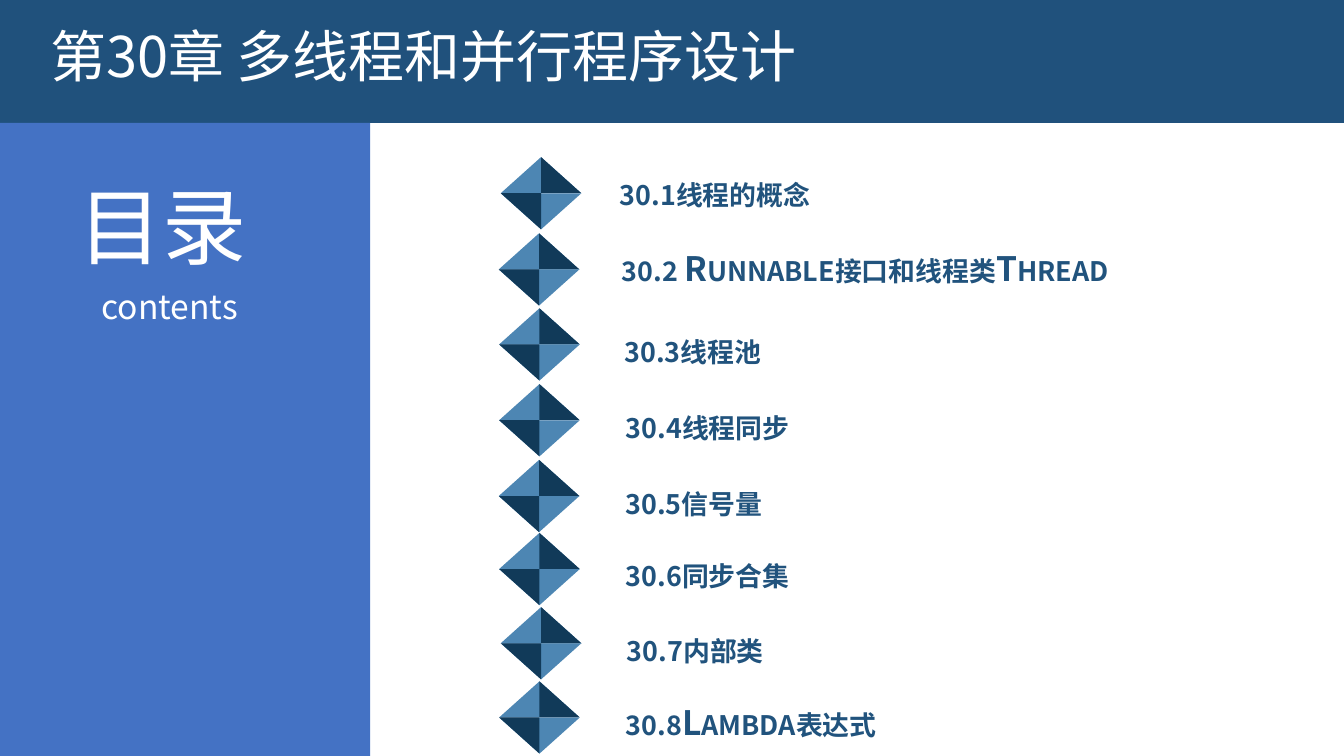
from dataclasses import dataclass

from lxml.etree import SubElement
from pptx import Presentation
from pptx.dml.color import RGBColor
from pptx.enum.shapes import MSO_SHAPE
from pptx.enum.text import MSO_AUTO_SIZE, PP_ALIGN
from pptx.oxml.ns import qn
from pptx.util import Cm, Pt


@dataclass(frozen=True)
class Theme:
    font: str = "Noto Sans CJK SC"
    banner: str = "20517C"
    sidebar: str = "4472C4"
    light_facet: str = "4D86B3"
    dark_facet: str = "113A59"
    entry: str = "21537D"
    white: str = "FFFFFF"
    contents_size: int = 60
    title_size: int = 40
    entry_size: int = 24


THEME = Theme()
FACET_WIDTH, FACET_HEIGHT = 2.03, 0.91
ENTRY_FRAME = {
    "margin_left": Cm(0.2), "margin_right": Cm(0.2),
    "margin_top": Cm(0.1), "margin_bottom": Cm(0.1),
}

# Entry, marker left and top, text left, top and width, wrapping
CHAPTER_ENTRIES = [
    ("30.1线程的概念", 12.62, 3.96, 15.42, 4.22, 14.96, True),
    ("30.2 Runnable接口和线程类Thread", 12.57, 5.88, 15.47, 6.15, 14.68, False),
    ("30.3线程池", 12.58, 7.77, 15.54, 8.18, 15.54, True),
    ("30.4线程同步", 12.58, 9.68, 15.57, 10.11, 15.54, True),
    ("30.5信号量", 12.57, 11.59, 15.56, 12.01, 15.54, True),
    ("30.6同步合集", 12.58, 13.43, 15.57, 13.84, 15.54, True),
    ("30.7内部类", 12.62, 15.3, 15.6, 15.72, 15.54, True),
    ("30.8Lambda表达式", 12.58, 17.17, 15.57, 17.6, 15.54, True),
]


def apply_format(target, values):
    for name, value in values.items():
        setattr(target, name, value)


def paint(shape, color):
    shape.fill.solid()
    shape.fill.fore_color.rgb = RGBColor.from_string(color)
    shape.line.fill.background()
    shape.shadow.inherit = False


def add_panel(slide, left, top, width, height, color):
    panel = slide.shapes.add_shape(
        MSO_SHAPE.RECTANGLE, Cm(left), Cm(top), Cm(width), Cm(height))
    paint(panel, color)


def add_label(slide, wording, left, top, width, height, size, color,
              align=None, bold=None, small_caps=False, frame_format=None):
    label = slide.shapes.add_textbox(Cm(left), Cm(top), Cm(width), Cm(height))
    frame = label.text_frame
    apply_format(frame, {"word_wrap": True,
                         "auto_size": MSO_AUTO_SIZE.SHAPE_TO_FIT_TEXT,
                         **(frame_format or {})})
    paragraph = frame.paragraphs[0]
    paragraph.alignment = align
    run = paragraph.add_run()
    run.text = wording
    apply_format(run.font, {"name": THEME.font, "size": Pt(size), "bold": bold})
    run.font.color.rgb = RGBColor.from_string(color)
    # East Asian typeface and small capitals
    properties = run._r.get_or_add_rPr()
    SubElement(properties, qn("a:ea"), typeface=THEME.font)
    if small_caps:
        properties.set("cap", "small")


def add_diamond(slide, left, top):
    diamond = slide.shapes.add_group_shape()
    center, middle = left + FACET_WIDTH / 2, top + FACET_HEIGHT
    halves = [
        (top, 0, top, left + FACET_WIDTH),
        (middle, 180, middle + FACET_HEIGHT, left),
    ]
    for facet_top, rotation, tip, corner in halves:
        light = diamond.shapes.add_shape(
            MSO_SHAPE.ISOSCELES_TRIANGLE, Cm(left), Cm(facet_top),
            Cm(FACET_WIDTH), Cm(FACET_HEIGHT))
        light.rotation = rotation
        paint(light, THEME.light_facet)
        outline = diamond.shapes.build_freeform(Cm(center), Cm(tip))
        outline.add_line_segments(
            [(Cm(center), Cm(middle)), (Cm(corner), Cm(middle))], close=True)
        paint(outline.convert_to_shape(), THEME.dark_facet)


def main():
    presentation = Presentation()
    apply_format(presentation, {"slide_width": Cm(33.87), "slide_height": Cm(19.05)})
    slide = presentation.slides.add_slide(presentation.slide_layouts[6])

    # Banner and sidebar
    add_panel(slide, -0.03, -0.03, 33.93, 3.13, THEME.banner)
    add_panel(slide, 0, 3.1, 9.33, 15.95, THEME.sidebar)
    add_label(slide, "目录", 1.73, 4.27, 5.56, 2.82, THEME.contents_size,
              THEME.white, align=PP_ALIGN.JUSTIFY)
    add_label(slide, "contents", 2.31, 7.09, 4.42, 1.28, THEME.entry_size,
              THEME.white, align=PP_ALIGN.JUSTIFY)
    add_label(slide, "第30章 多线程和并行程序设计", 1.02, 0.43, 25.78, 1.96,
              THEME.title_size, THEME.white)

    # Chapter entries with their diamond markers
    for wording, marker_left, marker_top, left, top, width, wrap in CHAPTER_ENTRIES:
        add_diamond(slide, marker_left, marker_top)
        add_label(slide, wording, left, top, width, 1.22, THEME.entry_size,
                  THEME.entry, bold=True, small_caps=True,
                  frame_format={**ENTRY_FRAME, "word_wrap": wrap})

    presentation.save("out.pptx")


if __name__ == "__main__":
    main()
